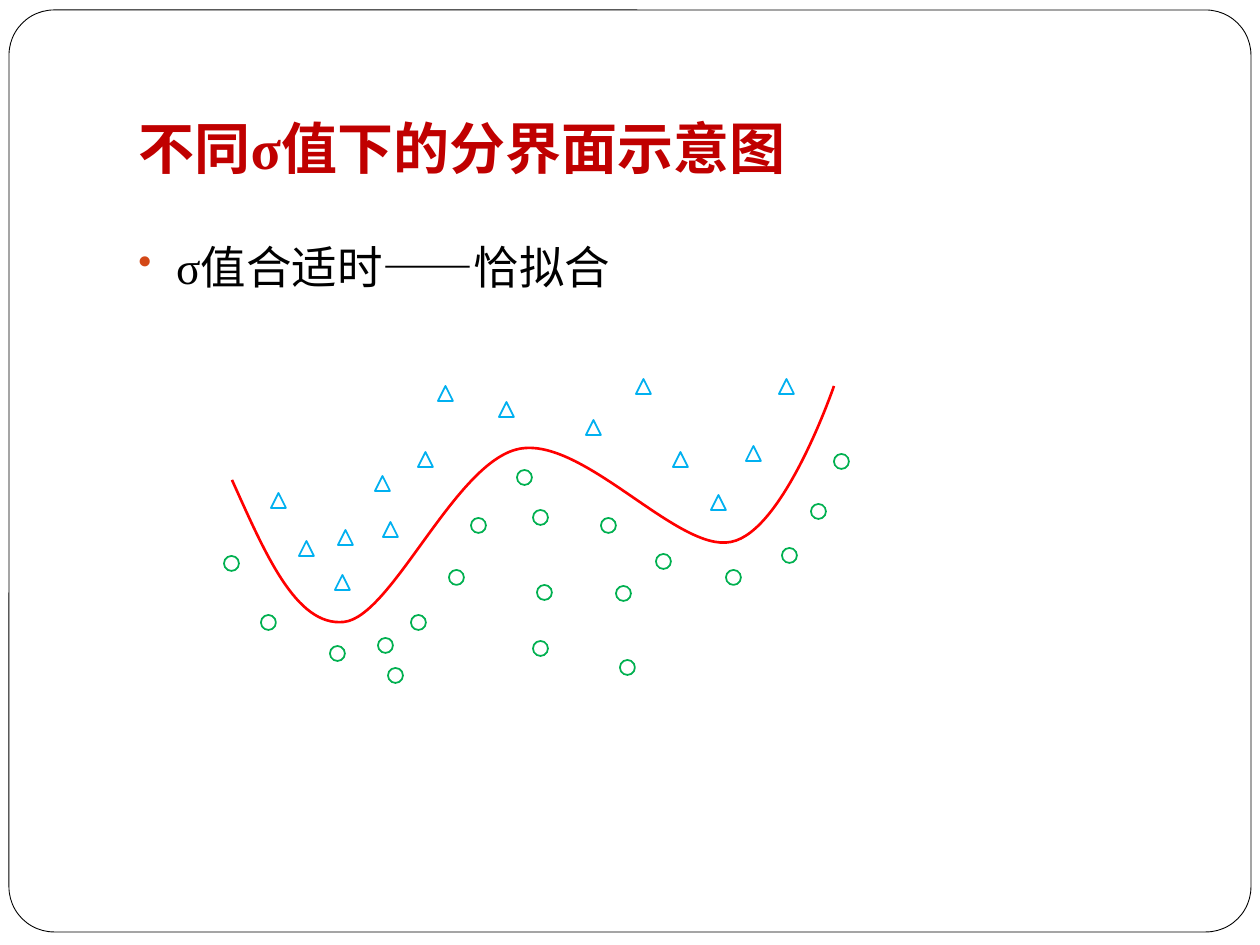
from typing import NamedTuple

from lxml import etree
from pptx import Presentation
from pptx import util as u
from pptx.dml.color import RGBColor
from pptx.enum import shapes, text
from pptx.oxml.ns import qn

EMU_PER_PX = 914400 / 126
FONT = "Times New Roman"
MARKER_SIZE = 15


class MarkerClass(NamedTuple):
    """Sample points of one class, each given by its left and top."""
    shape: shapes.MSO_SHAPE
    color: str
    points: list[tuple[int, int]]


TRIANGLES = MarkerClass(shapes.MSO_SHAPE.ISOSCELES_TRIANGLE, "00B0F0", [
    (271, 493), (299, 541), (335, 575), (338, 530), (375, 476),
    (383, 522), (418, 452), (438, 386), (499, 402), (586, 420),
    (636, 379), (673, 452), (711, 495), (746, 446), (779, 379),
])
CIRCLES = MarkerClass(shapes.MSO_SHAPE.OVAL, "00B050", [
    (224, 556), (261, 615), (330, 646), (378, 638), (388, 668),
    (411, 615), (449, 570), (471, 518), (517, 470), (533, 510),
    (533, 641), (537, 585), (601, 518), (616, 586), (620, 660),
    (656, 554), (726, 570), (782, 548), (811, 504), (834, 454),
])
# Start point, then two control points and an end point per segment.
BOUNDARY = [
    (232, 480),
    (265, 553), (296, 627), (344, 622),
    (392, 617), (455, 462), (519, 449),
    (583, 436), (678, 553), (731, 542),
    (784, 532), (834, 386), (834, 386),
]


def px(value: int) -> u.Emu:
    return u.Emu(round(value * EMU_PER_PX))


def rgb(color: str) -> RGBColor:
    return RGBColor.from_string(color)


def style(sp, line: str, width: float, fill: str | None = None) -> None:
    sp.shadow.inherit = False
    sp.line.color.rgb = rgb(line)
    sp.line.width = u.Pt(width)
    if fill:
        sp.fill.solid()
        sp.fill.fore_color.rgb = rgb(fill)
    else:
        sp.fill.background()


def add_frame(slide) -> None:
    sp = slide.shapes.add_shape(shapes.MSO_SHAPE.ROUNDED_RECTANGLE,
                                px(9), px(10), px(1242), px(922))
    sp.adjustments[0] = 0.049
    style(sp, "000000", 0.5, fill="FFFFFF")


def add_markers(slide, group: MarkerClass) -> None:
    for left, top in group.points:
        sp = slide.shapes.add_shape(group.shape, px(left), px(top),
                                    px(MARKER_SIZE), px(MARKER_SIZE))
        style(sp, group.color, 1)


def add_curve(slide, points: list[tuple[int, int]], color: str) -> None:
    """Draw a freeform and turn every three of its lines into one cubic curve."""
    builder = slide.shapes.build_freeform(*points[0], scale=EMU_PER_PX)
    builder.add_line_segments(points[1:], close=False)
    sp = builder.convert_to_shape()
    lines = list(sp._element.iter(qn("a:lnTo")))
    for i in range(0, len(lines), 3):
        curve = etree.Element(qn("a:cubicBezTo"))
        lines[i].addprevious(curve)
        for line in lines[i:i + 3]:
            curve.append(line[0])
            line.getparent().remove(line)
    style(sp, color, 1.5)


def add_bullet(p, char: str, color: str, percent: int, indent: float) -> None:
    pPr = p._p.get_or_add_pPr()
    pPr.set("marL", str(u.Inches(indent)))
    pPr.set("indent", str(-u.Inches(indent)))
    clr = etree.SubElement(pPr, qn("a:buClr"))
    etree.SubElement(clr, qn("a:srgbClr"), val=color)
    etree.SubElement(pPr, qn("a:buSzPct"), val=str(percent * 1000))
    etree.SubElement(pPr, qn("a:buChar"), char=char)


def add_text(slide, content: str, box: tuple[int, int, int, int], *,
             size: int, color: str, bold: bool = False, bullet: bool = False,
             anchor=text.MSO_ANCHOR.TOP, bottom: float = 0.05) -> None:
    tf = slide.shapes.add_textbox(*map(px, box)).text_frame
    tf.word_wrap = True
    tf.vertical_anchor = anchor
    tf.margin_bottom = u.Inches(bottom)
    p = tf.paragraphs[0]
    if bullet:
        add_bullet(p, "•", "D34817", 85, 0.3)
    r = p.add_run()
    r.text = content
    r.font.name = FONT
    r.font.size = u.Pt(size)
    r.font.bold = bold
    r.font.color.rgb = rgb(color)


def main() -> None:
    prs = Presentation()
    prs.slide_width, prs.slide_height = u.Inches(10), u.Inches(7.5)
    slide = prs.slides.add_slide(prs.slide_layouts[6])
    add_frame(slide)
    add_markers(slide, TRIANGLES)
    add_curve(slide, BOUNDARY, "FF0000")
    add_markers(slide, CIRCLES)
    add_text(slide, "不同σ值下的分界面示意图", (126, 35, 1071, 158), size=32,
             color="C00000", bold=True, anchor=text.MSO_ANCHOR.BOTTOM, bottom=0.1)
    add_text(slide, "σ值合适时——恰拟合", (126, 233, 1071, 576), size=26,
             color="000000", bullet=True)
    prs.save("out.pptx")


if __name__ == "__main__":
    main()
